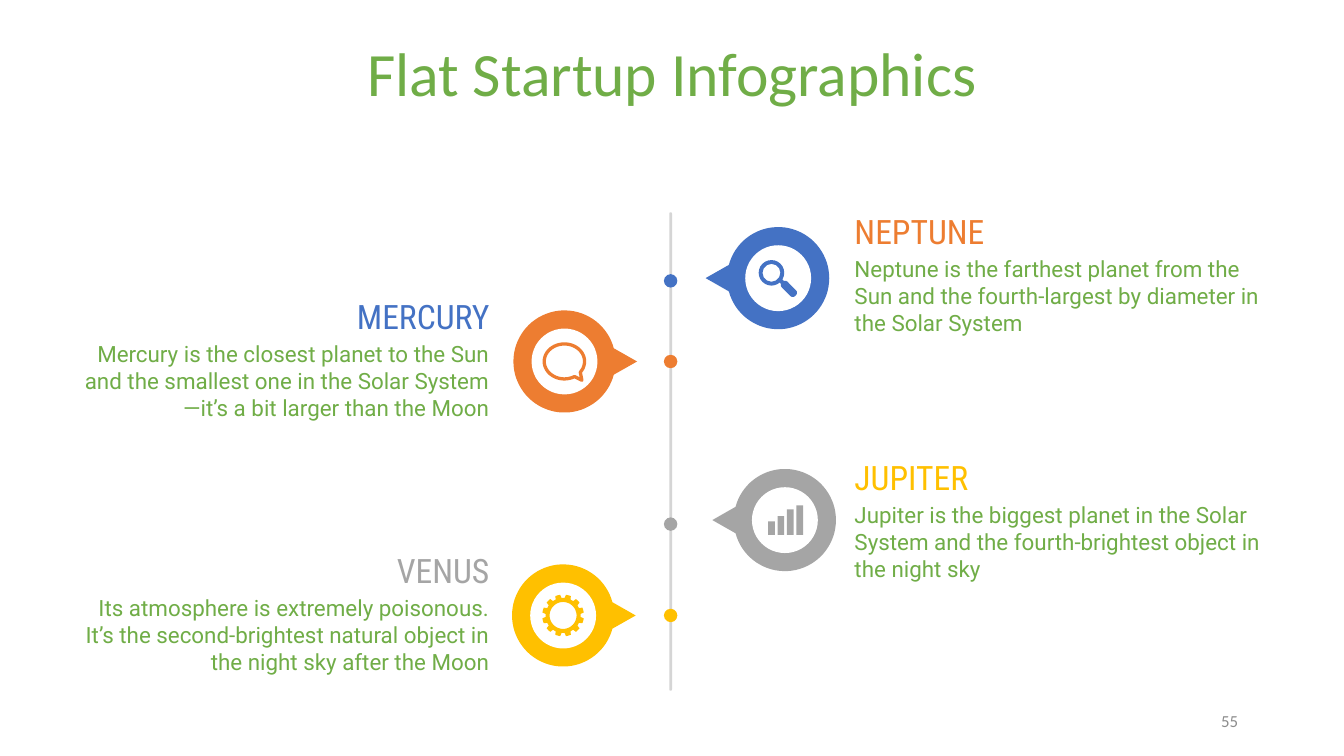
import math
from collections import namedtuple

from pptx import Presentation
from pptx.dml.color import RGBColor
from pptx.enum import shapes, text
from pptx.util import Inches, Pt

BLUE, ORANGE, GRAY, YELLOW = "4472C4", "ED7D31", "A5A5A5", "FFC000"
GREEN, WHITE, RAIL, NUMBER = "70AD47", "FFFFFF", "D5D5D5", "8C8C8C"
LEFT, RIGHT = text.PP_ALIGN.LEFT, text.PP_ALIGN.RIGHT
KIND = shapes.MSO_SHAPE
RAIL_X = 4.99

Planet = namedtuple("Planet", "name body pin_color name_color x y dot_y body_top icon")


def rgb(color):
    return RGBColor.from_string(color)


def paint(shape, color):
    shape.shadow.inherit = False
    shape.fill.solid()
    shape.fill.fore_color.rgb = rgb(color)
    shape.line.fill.background()
    return shape


def add_centered(slide, kind, x, y, width, height, color):
    shape = slide.shapes.add_shape(kind, Inches(x - width / 2), Inches(y - height / 2),
                                   Inches(width), Inches(height))
    return paint(shape, color)


def add_outline(slide, contours, color):
    """Closed shape; a second contour cuts a hole."""
    contours = [[(Inches(x), Inches(y)) for x, y in contour] for contour in contours]
    builder = slide.shapes.build_freeform(*contours[0][0])
    builder.add_line_segments(contours[0][1:], close=True)
    for contour in contours[1:]:
        builder.move_to(*contour[0])
        builder.add_line_segments(contour[1:], close=True)
    return paint(builder.convert_to_shape(), color)


def arc(x, y, radius_x, radius_y, start, end, steps=72):
    angles = [math.radians(start + (end - start) * i / steps) for i in range(steps + 1)]
    return [(x + radius_x * math.cos(a), y + radius_y * math.sin(a)) for a in angles]


def add_text(slide, box, content, font, size, color, align,
             anchor=text.MSO_ANCHOR.TOP, inset=0.1, line_spacing=None):
    frame = slide.shapes.add_textbox(*map(Inches, box)).text_frame
    frame.word_wrap = True
    frame.vertical_anchor = anchor
    frame.margin_left = frame.margin_right = Inches(0.1)
    frame.margin_top = frame.margin_bottom = Inches(inset)
    paragraph = frame.paragraphs[0]
    paragraph.alignment = align
    if line_spacing:
        paragraph.line_spacing = line_spacing
    run = paragraph.add_run()
    run.text = content
    run.font.name, run.font.size = font, Pt(size)
    run.font.color.rgb = rgb(color)


def add_pin(slide, x, y, color):
    # The tip points to the rail
    direction = 1 if x < RAIL_X else -1
    ring = arc(x, y, direction * 0.38, 0.38, 15, 345)
    add_outline(slide, [ring + [(x + direction * 0.54, y)]], color)
    add_centered(slide, KIND.OVAL, x, y, 0.49, 0.49, WHITE)


def add_magnifier(slide, x, y, color):
    lens = add_centered(slide, KIND.DONUT, x - 0.05, y - 0.04, 0.19, 0.19, color)
    lens.adjustments[0] = 0.15
    for offset, length, width in ((0.04, 0.08, 0.03), (0.08, 0.14, 0.06)):
        handle = add_centered(slide, KIND.ROUNDED_RECTANGLE, x + offset, y + offset,
                              length, width, color)
        handle.adjustments[0] = 0.4
        handle.rotation = 45


def add_bubble(slide, x, y, color):
    outline = arc(x, y, 0.15, 0.13, 60, 398) + [(x + 0.13, y + 0.14)]
    bubble = add_outline(slide, [outline], color)
    bubble.fill.background()
    bubble.line.color.rgb = rgb(color)
    bubble.line.width = Pt(1.75)


def add_bars(slide, x, y, color):
    for i, height in enumerate((0.1, 0.14, 0.19, 0.22)):
        add_centered(slide, KIND.RECTANGLE, x - 0.1 + 0.07 * i, y + 0.11 - height / 2,
                     0.05, height, color)


def add_gear(slide, x, y, color):
    rim = []
    for tooth in range(12):
        middle = 15 + 30 * tooth
        for radius, start, end in ((0.13, -20, -10), (0.155, -7, 7)):
            rim += arc(x, y, radius, radius, middle + start, middle + end, steps=3)
    add_outline(slide, [rim, arc(x, y, 0.1, 0.1, 360, 0)], color)


def add_planet(slide, planet):
    # Pin with icon, and dot on the rail
    add_pin(slide, planet.x, planet.y, planet.pin_color)
    planet.icon(slide, planet.x, planet.y, planet.pin_color)
    add_centered(slide, KIND.OVAL, RAIL_X, planet.dot_y, 0.1, 0.1, planet.pin_color)
    # Heading and description
    left, align = (0.5, RIGHT) if planet.x < RAIL_X else (6.26, LEFT)
    add_text(slide, (left, planet.body_top, 3.24, 0.82), planet.body,
             "Roboto", 12, GREEN, align)
    add_text(slide, (left, planet.body_top - 0.33, 3.24, 0.24), planet.name,
             "Roboto Condensed", 18, planet.name_color, align)


PLANETS = [
    Planet("JUPITER", "Jupiter is the biggest planet in the Solar System and the "
           "fourth-brightest object in the night sky",
           GRAY, YELLOW, 5.84, 3.87, 3.9, 3.63, add_bars),
    Planet("VENUS", "Its atmosphere is extremely poisonous. It’s the second-brightest "
           "natural object in the night sky after the Moon",
           YELLOW, GRAY, 4.19, 4.58, 4.58, 4.32, add_gear),
    Planet("NEPTUNE", "Neptune is the farthest planet from the Sun and the "
           "fourth-largest by diameter in the Solar System",
           BLUE, ORANGE, 5.79, 2.07, 2.09, 1.8, add_magnifier),
    Planet("MERCURY", "Mercury is the closest planet to the Sun and the smallest one in "
           "the Solar System—it’s a bit larger than the Moon",
           ORANGE, BLUE, 4.2, 2.69, 2.69, 2.43, add_bubble),
]


def main():
    presentation = Presentation()
    presentation.slide_width = Inches(10)
    presentation.slide_height = presentation.slide_width * 9 // 16
    slide = presentation.slides.add_slide(presentation.slide_layouts[6])

    # Timeline rail
    rail = add_centered(slide, KIND.ROUNDED_RECTANGLE, RAIL_X, 3.36, 0.02, 3.56, RAIL)
    rail.adjustments[0] = 0.5

    for planet in PLANETS:
        add_planet(slide, planet)

    # Title and slide number
    add_text(slide, (2.53, 0.22, 4.94, 0.68), "Flat Startup Infographics", "Calibri", 33,
             GREEN, text.PP_ALIGN.CENTER, line_spacing=0.9)
    add_text(slide, (7.06, 5.21, 2.25, 0.3), "55", "Calibri", 9, NUMBER, RIGHT,
             anchor=text.MSO_ANCHOR.MIDDLE, inset=0.05)

    presentation.save("out.pptx")


if __name__ == "__main__":
    main()
